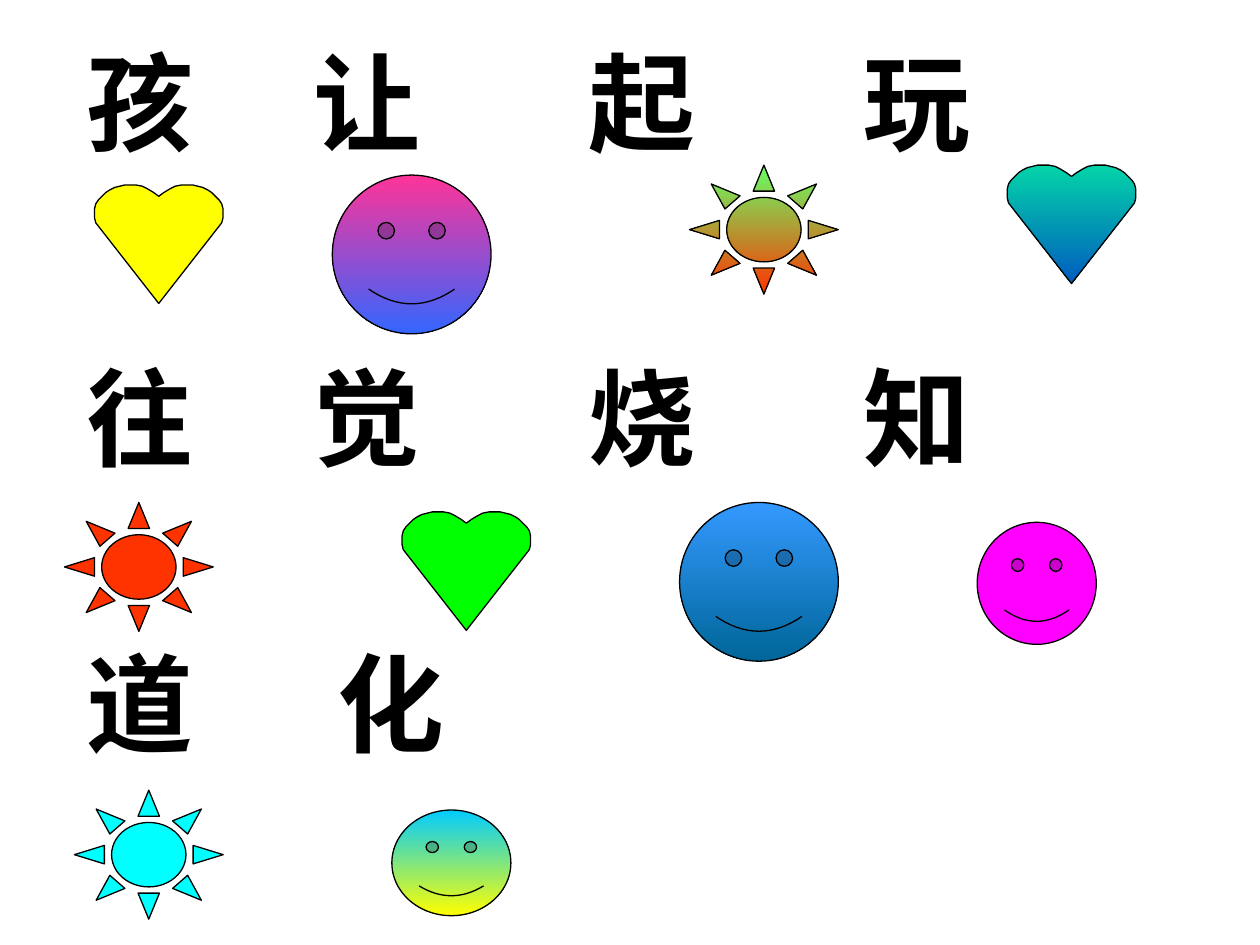
"""Build a slide of ten large Chinese characters with hearts, suns and smiling faces."""
from lxml import etree
from pptx import Presentation
from pptx.dml.color import RGBColor
from pptx.enum.shapes import MSO_SHAPE
from pptx.oxml.ns import qn
from pptx.util import Cm, Pt

SUN = MSO_SHAPE.SUN
FACE = MSO_SHAPE.SMILEY_FACE

HUES = {
    "black": "000000", "yellow": "FFFF00", "green": "00FF00",
    "mint": "03D4A8", "navy": "005CBF", "red": "FF3300",
    "lime": "66FF66", "cyan": "00FFFF", "pink": "FF3399",
    "blue": "3366FF", "sky": "3399FF", "teal": "006699",
    "azure": "00CCFF", "magenta": "FF00FF",
}


def rgb(name):
    return RGBColor.from_string(HUES[name])


def paint(shape, hues):
    shape.shadow.inherit = False
    if len(hues) == 1:
        shape.fill.solid()
        shape.fill.fore_color.rgb = rgb(hues[0])
    else:
        shape.fill.gradient()
        shape.fill.gradient_angle = 270
        for stop, hue in zip(shape.fill.gradient_stops, hues):
            stop.color.rgb = rgb(hue)
    shape.line.color.rgb = rgb("black")
    shape.line.width = Pt(0.75)


deck = Presentation()
deck.slide_width, deck.slide_height = Cm(25.4), Cm(19.05)
slide = deck.slides.add_slide(deck.slide_layouts[6])
shapes = slide.shapes

rows = [
    ("孩让起玩", 0, (4.57, 10.11, 15.65)),
    ("往觉烧知", 90, (4.57, 10.11, 15.65)),
    ("道化", 73, (5.05,)),
]
frame = shapes.add_textbox(Cm(1.5), Cm(0.03), Cm(23), Cm(15.5)).text_frame
frame.word_wrap = True
for i, (words, gap, stops) in enumerate(rows):
    para = frame.add_paragraph() if i else frame.paragraphs[0]
    tabs = etree.SubElement(para._p.get_or_add_pPr(), qn("a:tabLst"))
    for stop in stops:
        etree.SubElement(tabs, qn("a:tab"), pos=str(Cm(stop)), algn="l")
    para.line_spacing = Pt(90)
    para.space_before = Pt(gap)
    run = para.add_run()
    run.text = "\t".join(words)
    run.font.name = "Times New Roman"
    run.font.size = Pt(61)
    run.font.bold = True
    run.font.color.rgb = rgb("black")

half = [
    (0, 9), (4, 6), (9, 3), (13, 1), (18, 0), (21, 0), (27, 0),
    (31, 1), (35, 2), (39, 4), (42, 6), (45, 9), (48, 12), (50, 15),
    (51, 19), (51, 22), (51, 26), (50, 30), (0, 94),
]
ring = half + [(-x, y) for x, y in half[-2:0:-1]]
hearts = [
    (3.2, 3.73, ["yellow"]),
    (9.4, 10.32, ["green"]),
    (21.6, 3.33, ["mint", "navy"]),
]
for mid, top, hues in hearts:
    pen = shapes.build_freeform(*ring[0], scale=Cm(2.54) / 100)
    pen.add_line_segments(ring[1:], close=True)
    paint(pen.convert_to_shape(Cm(mid), Cm(top)), hues)

icons = [
    (SUN, 1.3, 10.13, 3, 2.6, ["red"]),
    (SUN, 13.9, 3.33, 3, 2.6, ["lime", "red"]),
    (SUN, 1.5, 15.93, 3, 2.6, ["cyan"]),
    (FACE, 6.7, 3.53, 3.2, 3.2, ["pink", "blue"]),
    (FACE, 13.7, 10.13, 3.2, 3.2, ["sky", "teal"]),
    (FACE, 7.9, 16.33, 2.4, 2.13, ["azure", "yellow"]),
    (FACE, 19.7, 10.53, 2.4, 2.46, ["magenta"]),
]
for kind, left, top, width, height, hues in icons:
    paint(shapes.add_shape(kind, Cm(left), Cm(top), Cm(width), Cm(height)), hues)

deck.save("out.pptx")
